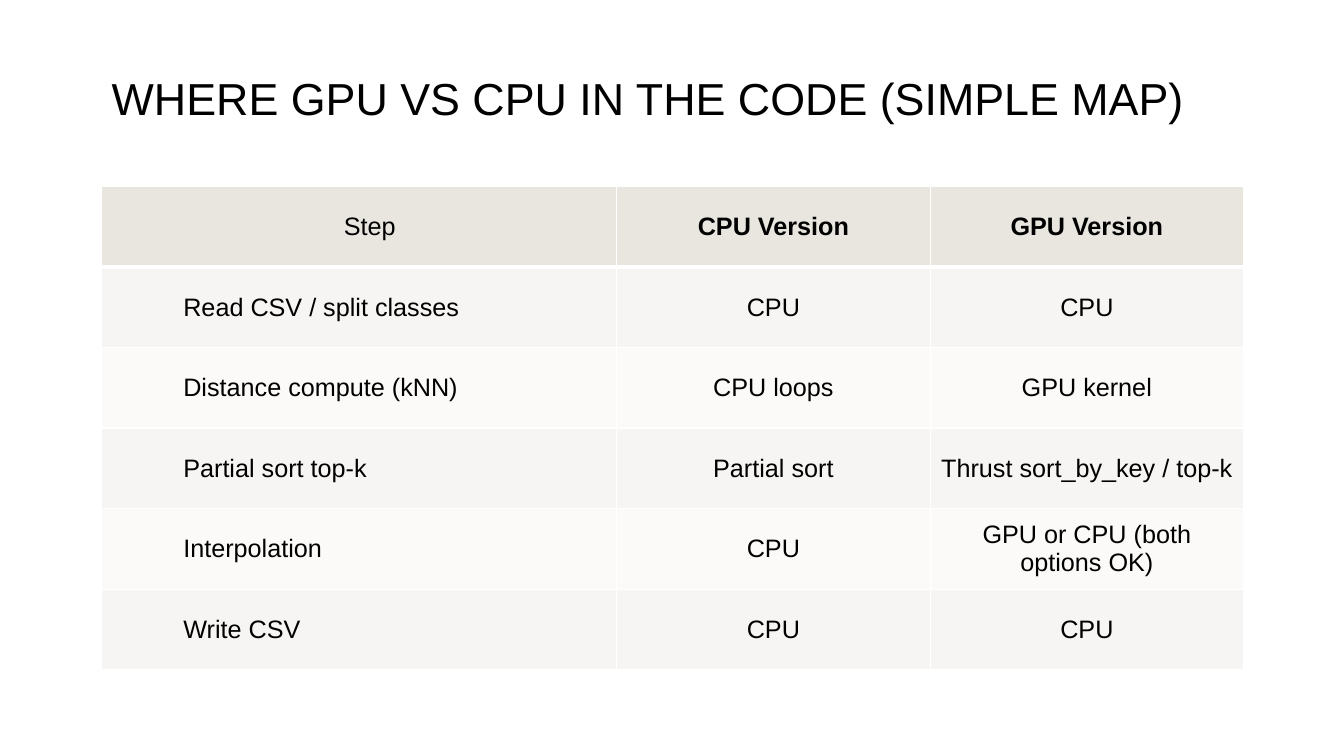
from lxml.etree import SubElement
from pptx import Presentation
from pptx.dml.color import RGBColor
from pptx.enum.text import MSO_ANCHOR as Anchor, PP_ALIGN as Align
from pptx.oxml.ns import qn
from pptx.util import Cm, Pt

FONT = "Arial"
COLOURS = {
    "text": "000000",
    "header": "E9E6DF",
    "odd": "F7F5F3",
    "even": "FBFAF9",
    "border": "FFFFFF",
}
TITLE = "WHERE GPU VS CPU IN THE CODE (SIMPLE MAP)"
STEPS = [
    ("Step", "CPU Version", "GPU Version"),
    ("Read CSV / split classes", "CPU", "CPU"),
    ("Distance compute (kNN)", "CPU loops", "GPU kernel"),
    ("Partial sort top-k", "Partial sort", "Thrust sort_by_key / top-k"),
    ("Interpolation", "CPU", "GPU or CPU (both options OK)"),
    ("Write CSV", "CPU", "CPU"),
]
LEFT = Cm(2.56)
WIDTHS = [Cm(12.98), Cm(7.9), Cm(7.9)]
ROW_HEIGHT = Cm(2.03)


def format_runs(para, size, bold=False):
    for run in para.runs:
        run.font.name = FONT
        run.font.size = Pt(size)
        run.font.bold = bold
        run.font.color.rgb = RGBColor.from_string(COLOURS["text"])


def add_title(page):
    title = page.shapes.title
    title.left, title.top = LEFT, Cm(0.88)
    title.width, title.height = sum(WIDTHS), Cm(3.35)
    frame = title.text_frame
    frame.text = TITLE
    frame.word_wrap = True
    frame.vertical_anchor = Anchor.MIDDLE
    para = frame.paragraphs[0]
    para.alignment = Align.LEFT
    para.line_spacing = 0.9
    format_runs(para, 32)


def set_borders(cell, row):
    properties = cell._tc.get_or_add_tcPr()
    points = {"L": 1, "R": 1, "T": 3 if row == 1 else 1, "B": 3 if row == 0 else 1}
    for side, width in points.items():
        line = SubElement(properties, qn(f"a:ln{side}"), w=str(Pt(width)))
        fill = SubElement(line, qn("a:solidFill"))
        SubElement(fill, qn("a:srgbClr"), val=COLOURS["border"])


def fill_cell(cell, text, row, column):
    set_borders(cell, row)
    band = "header" if row == 0 else ("even", "odd")[row % 2]
    cell.fill.solid()
    cell.fill.fore_color.rgb = RGBColor.from_string(COLOURS[band])
    cell.vertical_anchor = Anchor.MIDDLE
    if column == 0:
        cell.margin_left = Cm(0.79)
    cell.text_frame.text = text
    para = cell.text_frame.paragraphs[0]
    if row > 0 and column == 0:
        para.alignment = Align.LEFT
        para._p.get_or_add_pPr().set("marL", str(Cm(1.27)))
    else:
        para.alignment = Align.CENTER
    format_runs(para, 18, bold=row == 0 and column > 0)


def add_step_table(page):
    frame = page.shapes.add_table(
        len(STEPS), len(WIDTHS), LEFT, Cm(4.7), sum(WIDTHS), ROW_HEIGHT * len(STEPS)
    )
    table = frame.table
    for column, width in zip(table.columns, WIDTHS):
        column.width = width
    for row, texts in enumerate(STEPS):
        table.rows[row].height = ROW_HEIGHT
        for column, text in enumerate(texts):
            fill_cell(table.cell(row, column), text, row, column)


def main():
    deck = Presentation()
    deck.slide_width, deck.slide_height = Cm(33.87), Cm(19.05)
    page = deck.slides.add_slide(deck.slide_layouts[5])
    add_title(page)
    add_step_table(page)
    deck.save("out.pptx")


if __name__ == "__main__":
    main()
